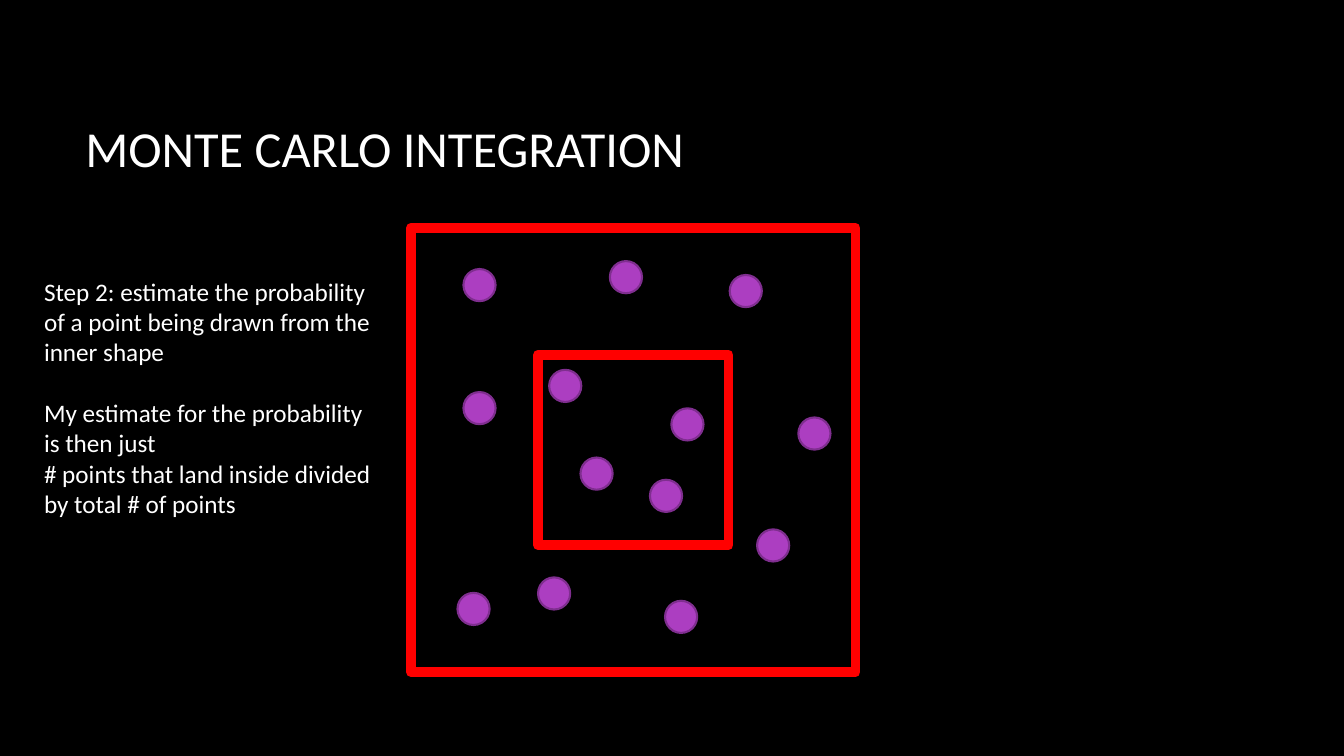
from pptx import Presentation
from pptx.dml.color import RGBColor
from pptx.enum.shapes import MSO_SHAPE
from pptx.enum.text import MSO_ANCHOR
from pptx.util import Cm, Pt

BLACK = RGBColor(0x00, 0x00, 0x00)
WHITE = RGBColor(0xFF, 0xFF, 0xFF)
RED = RGBColor(0xFF, 0x00, 0x00)
PURPLE = RGBColor(0xAC, 0x3E, 0xC1)
DARK_PURPLE = RGBColor(0x7F, 0x2E, 0x8F)

RECTANGLE = MSO_SHAPE.RECTANGLE
OVAL = MSO_SHAPE.OVAL
TOP = MSO_ANCHOR.TOP
MIDDLE = MSO_ANCHOR.MIDDLE

# Sampling region, in centimetres: the inner square is centred in the outer one
OUTER_LEFT, OUTER_TOP, OUTER_SIDE = 10.36, 5.74, 11.2
INNER_SIDE = 4.8
INNER_OFFSET = (OUTER_SIDE - INNER_SIDE) / 2

# Left and top of each sample point, in centimetres
POINT_SIZE = 0.81
INSIDE_POINTS = [(13.84, 9.32), (16.92, 10.29), (14.63, 11.53), (16.38, 12.09)]
OUTSIDE_POINTS = [
    (11.68, 6.78), (15.37, 6.58), (18.39, 6.93),
    (11.68, 9.88), (20.12, 10.52), (19.08, 13.34),
    (11.53, 14.94), (13.56, 14.55), (16.76, 15.14),
]

# Each paragraph with the space before it, in points
EXPLANATION = [
    ("Step 2: estimate the probability of a point being drawn from the inner shape", 0),
    ("My estimate for the probability is then just", 22),
    ("# points that land inside divided by total # of points", 0),
]


class SlidePainter:
    font = "Calibri"
    text_color = WHITE

    def __init__(self, page):
        self.page = page

    def background(self, color):
        fill = self.page.background.fill
        fill.solid()
        fill.fore_color.rgb = color

    def text(self, left, top, width, height, paragraphs, size, anchor=TOP):
        box = self.page.shapes.add_textbox(Cm(left), Cm(top), Cm(width), Cm(height))
        frame = box.text_frame
        frame.word_wrap = True
        frame.vertical_anchor = anchor
        for index, (wording, gap) in enumerate(paragraphs):
            para = frame.add_paragraph() if index else frame.paragraphs[0]
            para.space_before = Pt(gap)
            span = para.add_run()
            span.text = wording
            span.font.name = self.font
            span.font.size = Pt(size)
            span.font.color.rgb = self.text_color

    def shape(self, kind, left, top, side, line_color, line_width):
        shape = self.page.shapes.add_shape(kind, Cm(left), Cm(top), Cm(side), Cm(side))
        shape.shadow.inherit = False
        shape.fill.background()
        shape.line.color.rgb = line_color
        shape.line.width = Pt(line_width)
        return shape

    def square(self, left, top, side):
        self.shape(RECTANGLE, left, top, side, RED, 7)

    def point(self, left, top):
        dot = self.shape(OVAL, left, top, POINT_SIZE, DARK_PURPLE, 1.5)
        dot.fill.solid()
        dot.fill.fore_color.rgb = PURPLE


def main():
    deck = Presentation()
    deck.slide_width, deck.slide_height = Cm(33.87), Cm(19.05)
    painter = SlidePainter(deck.slides.add_slide(deck.slide_layouts[6]))
    painter.background(BLACK)

    # Title
    painter.text(1.9, 1.7, 28.14, 4.04, [("MONTE CARLO INTEGRATION", 0)], 36, MIDDLE)

    # Outer and inner squares
    painter.square(OUTER_LEFT, OUTER_TOP, OUTER_SIDE)
    painter.square(OUTER_LEFT + INNER_OFFSET, OUTER_TOP + INNER_OFFSET, INNER_SIDE)

    # Explanation
    painter.text(0.86, 6.83, 8.89, 6.4, EXPLANATION, 18)

    # Sample points
    for left, top in INSIDE_POINTS + OUTSIDE_POINTS:
        painter.point(left, top)

    deck.save("out.pptx")


if __name__ == "__main__":
    main()
